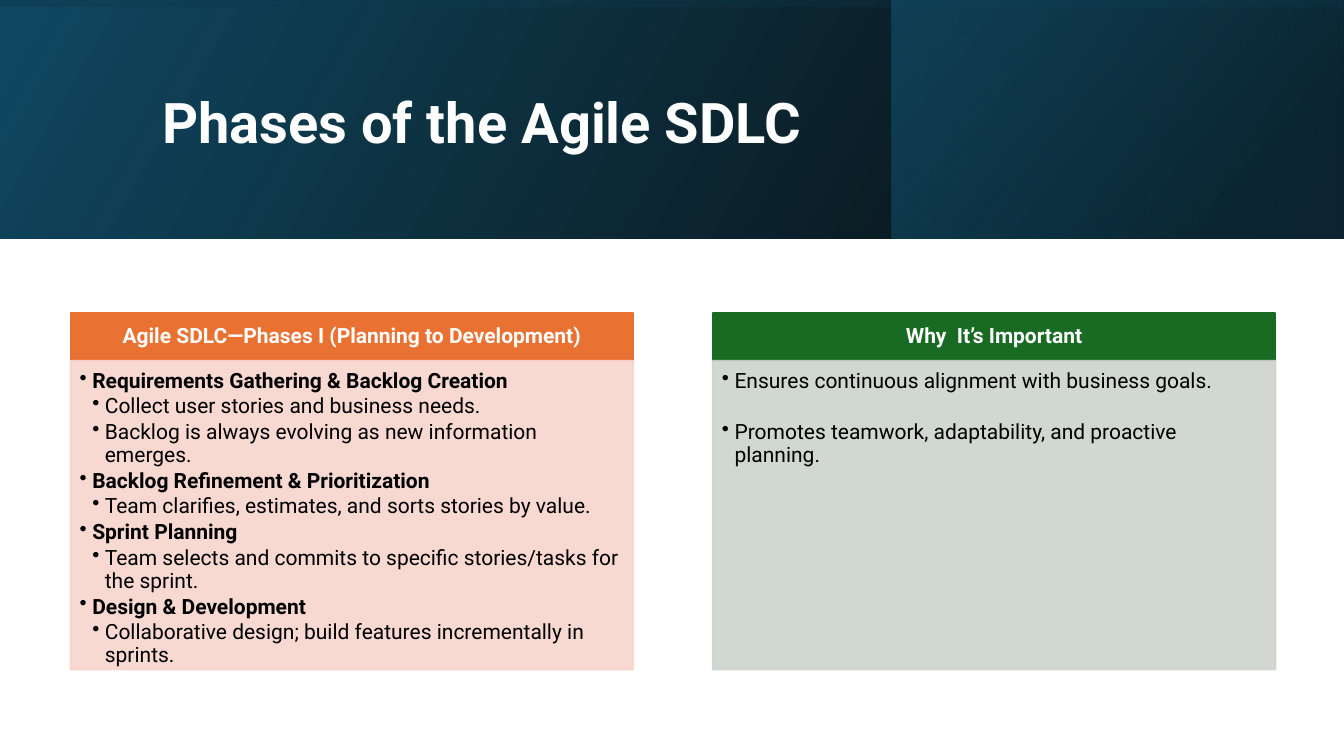
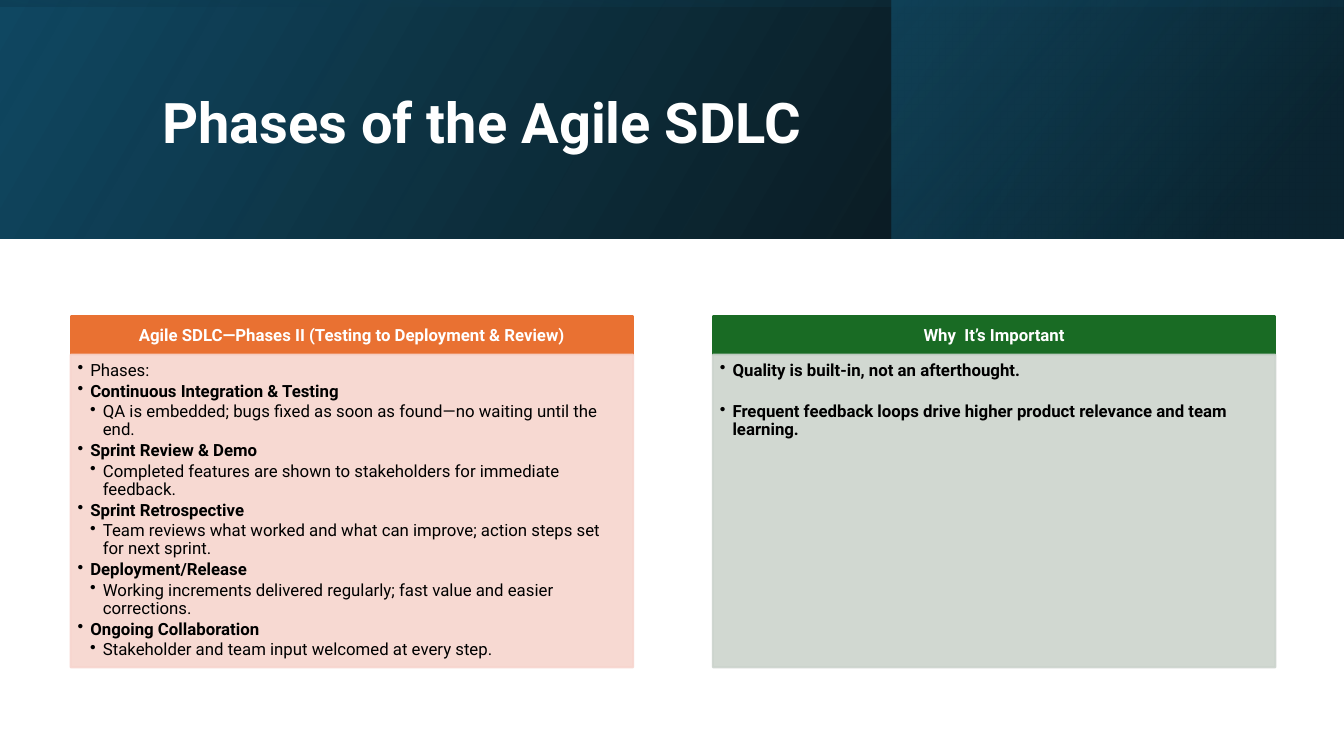
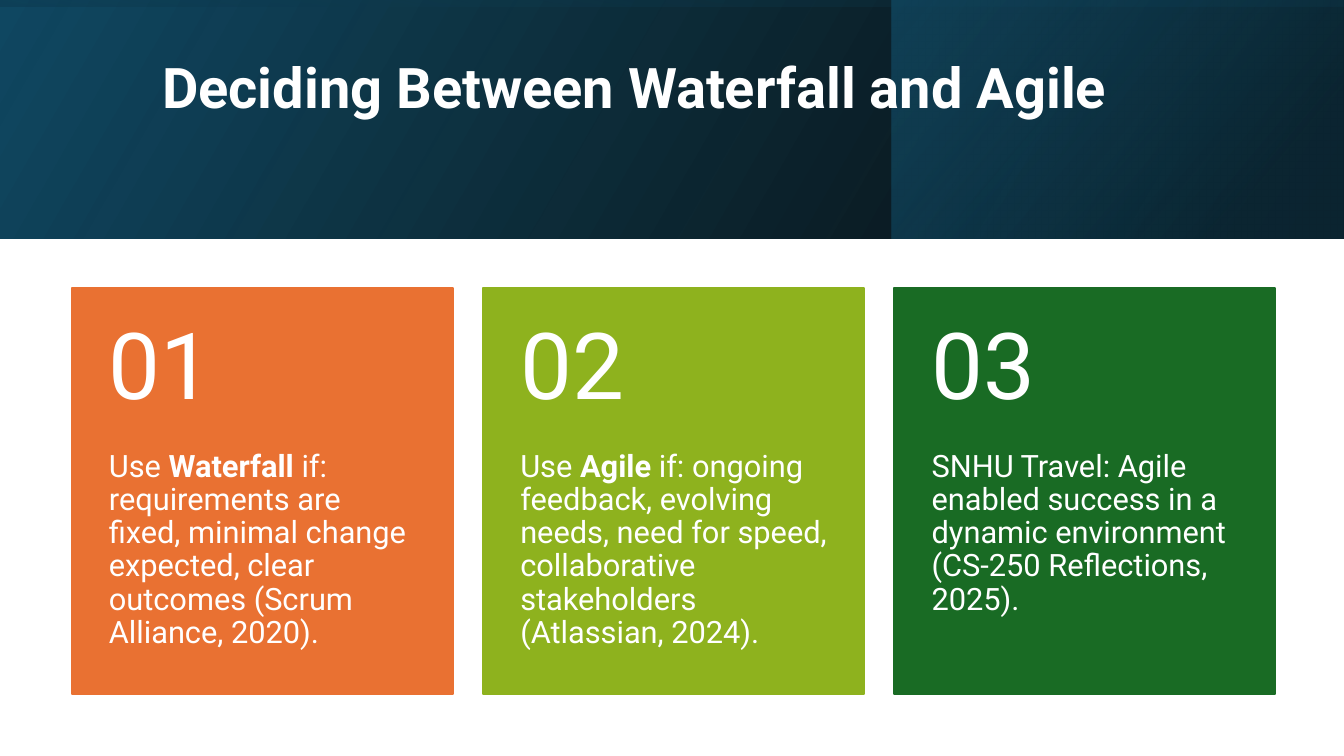
"""Builds three slides on the Agile SDLC and choosing between Waterfall and Agile."""
import dataclasses
import typing

import pptx
import pptx.dml.color
import pptx.enum.shapes
import pptx.enum.text
import pptx.oxml
import pptx.oxml.ns
import pptx.util

Inches = pptx.util.Inches
Anchor = pptx.enum.text.MSO_ANCHOR
Align = pptx.enum.text.PP_ALIGN

FONT = "Roboto"
WHITE, BLACK = "FFFFFF", "000000"
ORANGE, LIME, GREEN = "E97132", "8EB21E", "196B24"
PALE_ORANGE, PALE_GREEN = "F7D5CE", "CCD4CD"
SLIDE_WIDTH, SLIDE_HEIGHT, BAND_HEIGHT = 13.33, 7.5, 2.37


class Box(typing.NamedTuple):
    left: float
    top: float
    width: float
    height: float


class Stop(typing.NamedTuple):
    position: float
    colour: str
    opacity: int


@dataclasses.dataclass(frozen=True)
class Layer:
    box: Box
    stops: tuple[Stop, Stop]
    angle: int
    rotation: int = 0


@dataclasses.dataclass(frozen=True)
class Bullet:
    text: str
    depth: int = 1
    bold: bool = False
    gap_before: bool = False


@dataclasses.dataclass(frozen=True)
class Panel:
    heading: str
    bullets: tuple[Bullet, ...]
    colour: str
    tint: str


@dataclasses.dataclass(frozen=True)
class PanelStyle:
    top: float
    heading_height: float
    body_height: float
    size: int
    heading_insets: tuple[float, float, float, float]
    body_insets: tuple[float, float, float, float]


@dataclasses.dataclass(frozen=True)
class Card:
    colour: str
    runs: tuple[tuple[str, bool], ...]


BAND_LAYERS = (
    Layer(Box(0, 0, SLIDE_WIDTH, BAND_HEIGHT),
          (Stop(0, BLACK, 96), Stop(1, "104862", 100)), 30),
    Layer(Box(8.84, 0, 4.48, BAND_HEIGHT),
          (Stop(0.19, "0B3041", 68), Stop(1, "156082", 48)), 40),
    Layer(Box(5.48, -5.48, BAND_HEIGHT, SLIDE_WIDTH),
          (Stop(0.23, "104862", 16), Stop(0.99, BLACK, 45)), 10, 270),
)


def head(text: str) -> Bullet:
    """Return a bold first-level bullet."""
    return Bullet(text, bold=True)


def detail(text: str) -> Bullet:
    """Return a second-level bullet."""
    return Bullet(text, depth=2)


PLANNING_PANELS = (
    Panel("Agile SDLC—Phases I (Planning to Development)", (
        head("Requirements Gathering & Backlog Creation"),
        detail("Collect user stories and business needs."),
        detail("Backlog is always evolving as new information emerges."),
        head("Backlog Refinement & Prioritization"),
        detail("Team clarifies, estimates, and sorts stories by value."),
        head("Sprint Planning"),
        detail("Team selects and commits to specific stories/tasks for the sprint."),
        head("Design & Development"),
        detail("Collaborative design; build features incrementally in sprints."),
    ), ORANGE, PALE_ORANGE),
    Panel("Why  It’s Important", (
        Bullet("Ensures continuous alignment with business goals."),
        Bullet("Promotes teamwork, adaptability, and proactive planning.", gap_before=True),
    ), GREEN, PALE_GREEN),
)
TESTING_PANELS = (
    Panel("Agile SDLC—Phases II (Testing to Deployment & Review)", (
        Bullet("Phases:"),
        head("Continuous Integration & Testing"),
        detail("QA is embedded; bugs fixed as soon as found—no waiting until the end."),
        head("Sprint Review & Demo"),
        detail("Completed features are shown to stakeholders for immediate feedback."),
        head("Sprint Retrospective"),
        detail("Team reviews what worked and what can improve; action steps set for next sprint."),
        head("Deployment/Release"),
        detail("Working increments delivered regularly; fast value and easier corrections."),
        head("Ongoing Collaboration"),
        detail("Stakeholder and team input welcomed at every step."),
    ), ORANGE, PALE_ORANGE),
    Panel("Why  It’s Important", (
        head("Quality is built-in, not an afterthought."),
        Bullet("Frequent feedback loops drive higher product relevance and team learning.",
               bold=True, gap_before=True),
    ), GREEN, PALE_GREEN),
)
PLANNING_STYLE = PanelStyle(3.11, 0.47, 3.06, 15,
                            (0.12, 0.07, 0.12, 0.07), (0.09, 0.09, 0.12, 0.13))
TESTING_STYLE = PanelStyle(3.14, 0.38, 3.1, 12,
                           (0.09, 0.05, 0.09, 0.05), (0.07, 0.07, 0.09, 0.1))
CARDS = (
    Card(ORANGE, (("Use ", False), ("Waterfall", True),
                  (" if: requirements are fixed, minimal change expected, "
                   "clear outcomes (Scrum Alliance, 2020).", False))),
    Card(LIME, (("Use ", False), ("Agile", True),
                (" if: ongoing feedback, evolving needs, need for speed, "
                 "collaborative stakeholders (Atlassian, 2024).", False))),
    Card(GREEN, (("SNHU Travel: Agile enabled success in a dynamic environment "
                  "(CS-250 Reflections, 2025).", False),)),
)


def rgb(colour: str) -> pptx.dml.color.RGBColor:
    """Convert a hex string to a colour."""
    return pptx.dml.color.RGBColor.from_string(colour)


def inches(box: Box) -> list[int]:
    """Convert a box to lengths."""
    return [Inches(value) for value in box]


def set_opacity(shape, opacities: typing.Iterable[int]) -> None:
    """Apply opacity percentages to the shape's colours in order."""
    tag = pptx.oxml.ns.qn("a:srgbClr")
    for colour, opacity in zip(list(shape.element.spPr.iter(tag)), opacities):
        if opacity < 100:
            alpha = pptx.oxml.parse_xml(
                f'<a:alpha {pptx.oxml.ns.nsdecls("a")} val="{opacity * 1000}"/>')
            colour.append(alpha)


def add_rectangle(slide, box: Box):
    """Add a rectangle without a shadow."""
    rectangle = slide.shapes.add_shape(
        pptx.enum.shapes.MSO_SHAPE.RECTANGLE, *inches(box))
    rectangle.shadow.inherit = False
    return rectangle


def add_block(slide, box: Box, colour: str, opacity: int = 100):
    """Add a rectangle with fill and outline in one colour."""
    block = add_rectangle(slide, box)
    block.fill.solid()
    block.fill.fore_color.rgb = rgb(colour)
    block.line.color.rgb = rgb(colour)
    block.line.width = pptx.util.Pt(1.5)
    set_opacity(block, (opacity, opacity))
    return block


def add_layer(slide, layer: Layer) -> None:
    """Add one mirrored gradient layer of the title band."""
    rectangle = add_rectangle(slide, layer.box)
    rectangle.line.fill.background()
    rectangle.fill.gradient()
    rectangle.fill.gradient_angle = layer.angle
    for gradient_stop, stop in zip(rectangle.fill.gradient_stops, layer.stops):
        gradient_stop.position = stop.position
        gradient_stop.color.rgb = rgb(stop.colour)
    set_opacity(rectangle, [stop.opacity for stop in layer.stops])
    rectangle.rotation = layer.rotation
    rectangle.element.spPr.find(pptx.oxml.ns.qn("a:xfrm")).set("flipH", "1")


def set_frame(shape, insets: tuple[float, float, float, float], anchor):
    """Set wrapping, insets and anchor, and return the text frame."""
    frame = shape.text_frame
    frame.word_wrap = True
    frame.vertical_anchor = anchor
    (frame.margin_left, frame.margin_top,
     frame.margin_right, frame.margin_bottom) = [Inches(inset) for inset in insets]
    return frame


def style_paragraph(paragraph, size: int, colour: str,
                    bold: bool | None = None, align=Align.LEFT) -> None:
    """Set the font, alignment and line spacing of a paragraph."""
    paragraph.alignment = align
    paragraph.line_spacing = 0.9
    paragraph.font.name = FONT
    paragraph.font.size = pptx.util.Pt(size)
    paragraph.font.color.rgb = rgb(colour)
    paragraph.font.bold = bold


def add_text(slide, box: Box, runs: typing.Iterable[tuple[str, bool]], size: int,
             insets: tuple[float, float, float, float], anchor) -> None:
    """Add a white text box of one paragraph."""
    frame = set_frame(slide.shapes.add_textbox(*inches(box)), insets, anchor)
    paragraph = frame.paragraphs[0]
    style_paragraph(paragraph, size, WHITE)
    for text, bold in runs:
        run = paragraph.add_run()
        run.text = text
        run.font.bold = bold


def add_bullets(frame, bullets: tuple[Bullet, ...], size: int) -> None:
    """Fill a text frame with bulleted paragraphs."""
    for index, bullet in enumerate(bullets):
        paragraph = frame.add_paragraph() if index else frame.paragraphs[0]
        paragraph.text = bullet.text
        paragraph.level = bullet.depth
        properties = paragraph._p.get_or_add_pPr()
        properties.set("marL", str(Inches(0.125 * bullet.depth)))
        properties.set("indent", str(Inches(-0.125)))
        properties.append(pptx.oxml.parse_xml(
            f'<a:buChar {pptx.oxml.ns.nsdecls("a")} char="•"/>'))
        style_paragraph(paragraph, size, BLACK, bullet.bold)
        paragraph.space_after = pptx.util.Pt(round(size * 0.15, 1))
        if bullet.gap_before:
            paragraph.space_before = pptx.util.Pt(round(size * 1.22, 1))


def add_titled_slide(deck, title: str, bottom_inset: float = 0.05):
    """Add a blank slide with the title band."""
    slide = deck.slides.add_slide(deck.slide_layouts[6])
    for layer in BAND_LAYERS:
        add_layer(slide, layer)
    add_text(slide, Box(1.51, 0.38, 10.63, 1.72), [(title, True)], 40,
             (0.1, 0.05, 0.1, bottom_inset), Anchor.MIDDLE)
    return slide


def add_panels(slide, panels: tuple[Panel, ...], style: PanelStyle) -> None:
    """Add headed panels side by side."""
    width, pitch = 5.58, 6.37
    for column, panel in enumerate(panels):
        left = 0.7 + column * pitch
        heading = add_block(
            slide, Box(left, style.top, width, style.heading_height), panel.colour)
        frame = set_frame(heading, style.heading_insets, Anchor.MIDDLE)
        frame.text = panel.heading
        style_paragraph(frame.paragraphs[0], style.size, WHITE, True, Align.CENTER)
        body = add_block(
            slide, Box(left, style.top + style.heading_height, width, style.body_height),
            panel.tint, 90)
        add_bullets(set_frame(body, style.body_insets, Anchor.TOP),
                    panel.bullets, style.size)


def add_cards(slide, cards: tuple[Card, ...]) -> None:
    """Add numbered cards side by side."""
    top, width, pitch, number_height, text_height = 2.86, 3.78, 4.08, 1.61, 2.42
    for column, card in enumerate(cards):
        left = 0.71 + column * pitch
        add_block(slide, Box(left, top, width, number_height + text_height), card.colour)
        add_text(slide, Box(left, top + number_height, width, text_height),
                 card.runs, 22, (0.37, 0, 0.37, 0.36), Anchor.TOP)
        add_text(slide, Box(left, top, width, number_height),
                 [(f"{column + 1:02}", False)], 66, (0.37, 0.18, 0.37, 0.18), Anchor.MIDDLE)


def main() -> None:
    """Build and save the presentation."""
    deck = pptx.Presentation()
    deck.slide_width, deck.slide_height = Inches(SLIDE_WIDTH), Inches(SLIDE_HEIGHT)
    for panels, style in ((PLANNING_PANELS, PLANNING_STYLE), (TESTING_PANELS, TESTING_STYLE)):
        add_panels(add_titled_slide(deck, "Phases of the Agile SDLC"), panels, style)
    add_cards(add_titled_slide(deck, "Deciding Between Waterfall and Agile", 0.73), CARDS)
    deck.save("out.pptx")


if __name__ == "__main__":
    main()
